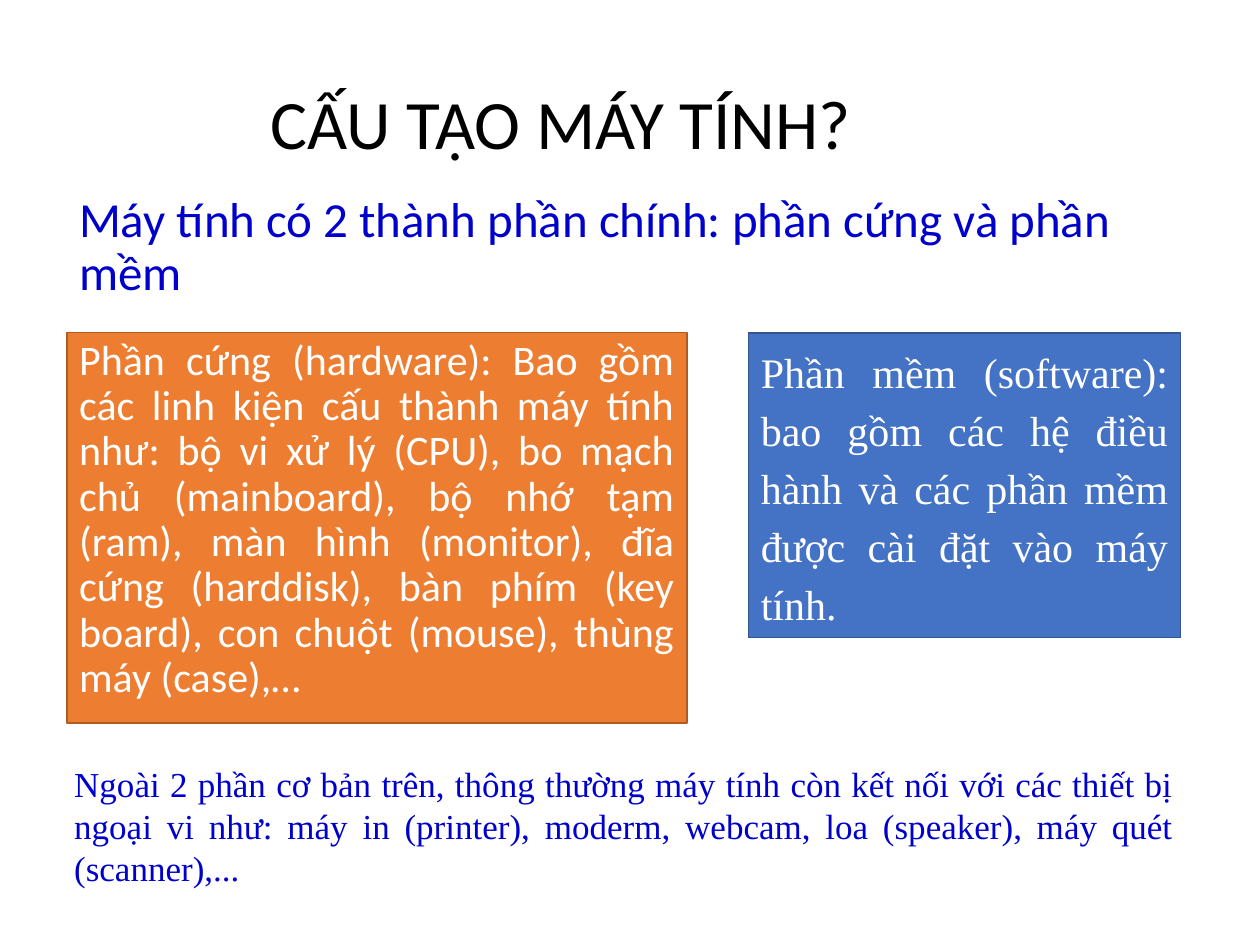
from dataclasses import dataclass
from typing import Any

from pptx import Presentation
from pptx.dml.color import RGBColor
from pptx.enum.shapes import MSO_SHAPE
from pptx.enum.text import MSO_ANCHOR, MSO_AUTO_SIZE, PP_ALIGN
from pptx.util import Inches, Pt

SANS, SERIF = "Calibri", "Times New Roman"
BLUE, WHITE, BLACK = "0000CC", "FFFFFF", "000000"


@dataclass
class Block:
    text: str
    area: tuple[float, float, float, float]
    font: str
    size: float
    color: str
    align: Any = PP_ALIGN.JUSTIFY
    lead: float = 1.0
    before: float = 0
    anchor: Any = MSO_ANCHOR.TOP
    fit: Any = MSO_AUTO_SIZE.NONE


@dataclass
class Panel:
    block: Block
    fill: str
    line: str


TITLE = Block("CẤU TẠO MÁY TÍNH?", (2.05, 0.76, 7.48, 0.5), SANS, 39.6, BLACK,
              PP_ALIGN.LEFT, 0.9, anchor=MSO_ANCHOR.MIDDLE)
INTRO = Block("Máy tính có 2 thành phần chính: phần cứng và phần mềm",
              (0.53, 1.5, 8.84, 1.1), SANS, 28, BLUE, PP_ALIGN.LEFT, 0.9, 10)
NOTE = Block("Ngoài 2 phần cơ bản trên, thông thường máy tính còn kết nối với các "
             "thiết bị ngoại vi như: máy in (printer), moderm, webcam, loa "
             "(speaker), máy quét (scanner),...",
             (0.49, 6, 8.92, 1.11), SERIF, 20, BLUE,
             fit=MSO_AUTO_SIZE.SHAPE_TO_FIT_TEXT)
PANELS = [
    Panel(Block("Phần cứng (hardware): Bao gồm các linh kiện cấu thành máy tính "
                "như: bộ vi xử lý (CPU), bo mạch chủ (mainboard), bộ nhớ tạm (ram), "
                "màn hình (monitor), đĩa cứng (harddisk), bàn phím (key board), "
                "con chuột (mouse), thùng máy (case),…",
                (0.53, 2.64, 4.92, 3.1), SANS, 24, WHITE, lead=0.9, before=10),
          "ED7D31", "AF5C24"),
    Panel(Block("Phần mềm (software): bao gồm các hệ điều hành và các phần mềm "
                "được cài đặt vào máy tính.",
                (5.94, 2.64, 3.43, 2.42), SERIF, 24, WHITE, lead=1.15, before=6,
                fit=MSO_AUTO_SIZE.SHAPE_TO_FIT_TEXT),
          "4472C4", "325491"),
]


def paint(color: Any, code: str) -> None:
    color.rgb = RGBColor.from_string(code)


def apply(item: Any, form: dict[str, Any]) -> None:
    for name, value in form.items():
        setattr(item, name, value)


def write(shape: Any, block: Block) -> None:
    left, top, width, height = map(Inches, block.area)
    apply(shape, {"left": left, "top": top, "width": width, "height": height})
    frame = shape.text_frame
    apply(frame, {"word_wrap": True, "auto_size": block.fit,
                  "vertical_anchor": block.anchor})
    par = frame.paragraphs[0]
    apply(par, {"alignment": block.align, "line_spacing": block.lead,
                "space_before": Pt(block.before)})
    run = par.add_run()
    run.text = block.text
    apply(run.font, {"name": block.font, "size": Pt(block.size)})
    paint(run.font.color, block.color)


def add_text(slide: Any, block: Block) -> None:
    write(slide.shapes.add_textbox(*map(Inches, block.area)), block)


def add_panel(slide: Any, panel: Panel) -> None:
    shape = slide.shapes.add_shape(MSO_SHAPE.RECTANGLE,
                                   *map(Inches, panel.block.area))
    shape.shadow.inherit = False
    shape.fill.solid()
    paint(shape.fill.fore_color, panel.fill)
    paint(shape.line.color, panel.line)
    shape.line.width = Pt(1)
    write(shape, panel.block)


def main() -> None:
    deck = Presentation()
    apply(deck, {"slide_width": Inches(10), "slide_height": Inches(7.5)})
    slide = deck.slides.add_slide(deck.slide_layouts[5])
    write(slide.shapes.title, TITLE)
    add_text(slide, INTRO)
    for panel in PANELS:
        add_panel(slide, panel)
    add_text(slide, NOTE)
    deck.save("out.pptx")


if __name__ == "__main__":
    main()
